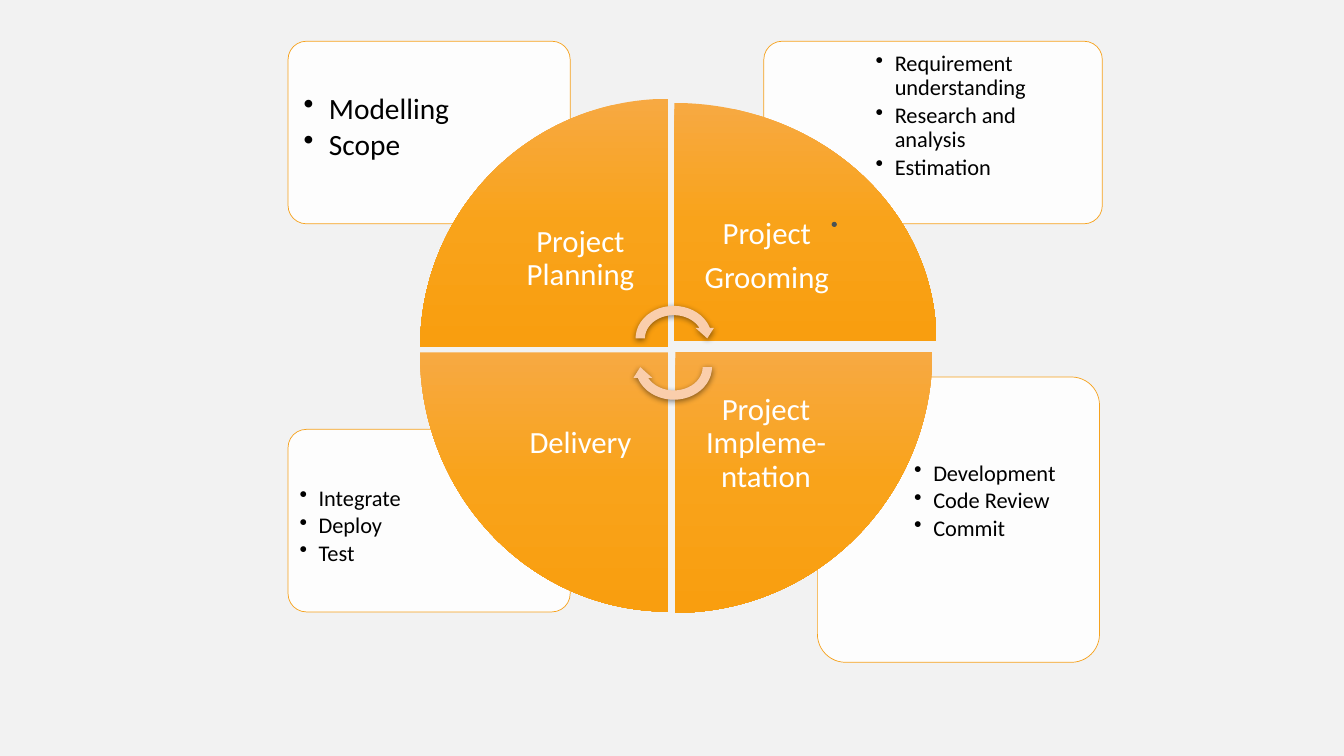
from lxml import etree
from pptx import Presentation
from pptx import util as u
from pptx.dml.color import RGBColor
from pptx.enum import shapes, text
from pptx.oxml import parse_xml
from pptx.oxml.ns import nsdecls, qn

ORANGE_STOPS = [(0, "F7A942"), (50, "F9A31A"), (100, "F99E0F")]

deck = Presentation()
deck.slide_width, deck.slide_height = u.Cm(33.87), u.Cm(19.05)
slide = deck.slides.add_slide(deck.slide_layouts[6])


def add_part(preset, box, fill, line=None, turn=0):
    """Place a shadowless shape; fill and line are hex colours."""
    part = slide.shapes.add_shape(preset, *map(u.Cm, box))
    part.shadow.inherit = False
    part.rotation = turn
    part.fill.solid()
    part.fill.fore_color.rgb = RGBColor.from_string(fill)
    if line:
        part.line.color.rgb = RGBColor.from_string(line)
        part.line.width = u.Pt(0.5)
    else:
        part.line.fill.background()
    return part


def add_words(box, lines, size, color, inset, after, hang=0, top=None):
    """Write one paragraph per line; a hang above zero makes it a bullet."""
    frame = slide.shapes.add_textbox(*map(u.Cm, box)).text_frame
    margin = u.Cm(inset)
    layout = {"word_wrap": True, "margin_left": margin, "margin_right": margin,
              "margin_top": u.Cm(top or inset), "margin_bottom": margin,
              "vertical_anchor": text.MSO_ANCHOR.TOP if hang else text.MSO_ANCHOR.MIDDLE}
    for key, value in layout.items():
        setattr(frame, key, value)
    for i, line in enumerate(lines):
        para = frame.add_paragraph() if i else frame.paragraphs[0]
        if hang:
            props = para._p.get_or_add_pPr()
            props.set("marL", str(u.Cm(hang)))
            props.set("indent", str(-u.Cm(hang)))
            etree.SubElement(props, qn("a:buChar"), char="•")
        para.alignment = text.PP_ALIGN.LEFT if hang else text.PP_ALIGN.CENTER
        para.line_spacing = 0.9
        para.space_after = u.Pt(size * after)
        run = para.add_run()
        run.text = line
        run.font.name = "Calibri"
        run.font.size = u.Pt(size)
        run.font.color.rgb = RGBColor.from_string(color)


slide.background.fill.solid()
slide.background.fill.fore_color.rgb = RGBColor.from_string("F2F2F2")

# Cards with the tasks of each phase
small = {"size": 16, "inset": 0.18, "hang": 0.48}
large = {"size": 21, "inset": 0.28, "hang": 0.64, "top": 1.22}
cards = [
    ((20.6, 9.5, 7.11, 7.19), (22.86, 11.46, 4.7, 5.08),
     ["Development", "Code Review", "Commit"], small),
    ((7.26, 10.82, 7.11, 4.6), (7.37, 12.09, 4.78, 3.25),
     ["Integrate", "Deploy", "Test"], small),
    ((19.25, 1.04, 8.53, 4.6), (21.89, 1.14, 5.77, 3.25),
     ["Requirement understanding", "Research and analysis", "Estimation"], small),
    ((7.26, 1.04, 7.11, 4.6), (7.37, 1.14, 4.78, 3.25),
     ["Modelling", "Scope"], large),
]
for card_box, task_box, tasks, style in cards:
    card = add_part(shapes.MSO_SHAPE.ROUNDED_RECTANGLE, card_box, "FFFFFF", "F6A21D")
    card.adjustments[0] = 0.1
    white = card._element.spPr.find(qn("a:solidFill"))[0]
    etree.SubElement(white, qn("a:alpha"), val="90000")
    add_words(task_box, tasks, color="000000", after=0.15, **style)

# Quarters of the wheel, clockwise from the top left
phases = [
    ((10.59, 2.49, 6.25, 6.25), (12.42, 4.32, 4.42, 4.42), ["Project Planning"]),
    ((17.3, 2.29, 5.99, 6.6), (16.99, 4.34, 4.67, 4.24), ["Project", "Grooming"]),
    ((17.02, 8.86, 6.48, 6.58), (17.02, 8.86, 4.57, 4.65), ["Project Impleme-ntation"]),
    ((10.44, 9.02, 6.53, 6.25), (12.42, 8.86, 4.42, 4.62), ["Delivery"]),
]
stops = "".join(f'<a:gs pos="{place * 1000}"><a:srgbClr val="{color}"/></a:gs>'
                for place, color in ORANGE_STOPS)
for i, (wedge_box, name_box, name) in enumerate(phases):
    wedge = add_part(shapes.MSO_SHAPE.PIE_WEDGE, wedge_box, "F9A31A", turn=90 * i)
    props = wedge._element.spPr
    props.replace(props.find(qn("a:solidFill")), parse_xml(
        f'<a:gradFill {nsdecls("a")} rotWithShape="0"><a:gsLst>{stops}</a:gsLst>'
        '<a:lin ang="5400000" scaled="0"/></a:gradFill>'))
    add_words(name_box, name, 22, "FFFFFF", 0.43, 0.35)

# Cycle arrows at the hub
for top, turn in [(7.59, 0), (8.31, 180)]:
    arrow = add_part(shapes.MSO_SHAPE.CIRCULAR_ARROW, (15.9, top, 2.16, 1.88), "FACEAC", turn=turn)
    arrow._element.spPr.find(qn("a:effectLst")).append(parse_xml(
        f'<a:outerShdw {nsdecls("a")} blurRad="{u.Pt(4.4)}" dist="{u.Pt(1.2)}" dir="5400000" '
        'rotWithShape="0"><a:srgbClr val="000000"><a:alpha val="45000"/></a:srgbClr></a:outerShdw>'))

add_part(shapes.MSO_SHAPE.OVAL, (20.96, 5.59, 0.13, 0.13), "4A5356")

deck.save("out.pptx")
